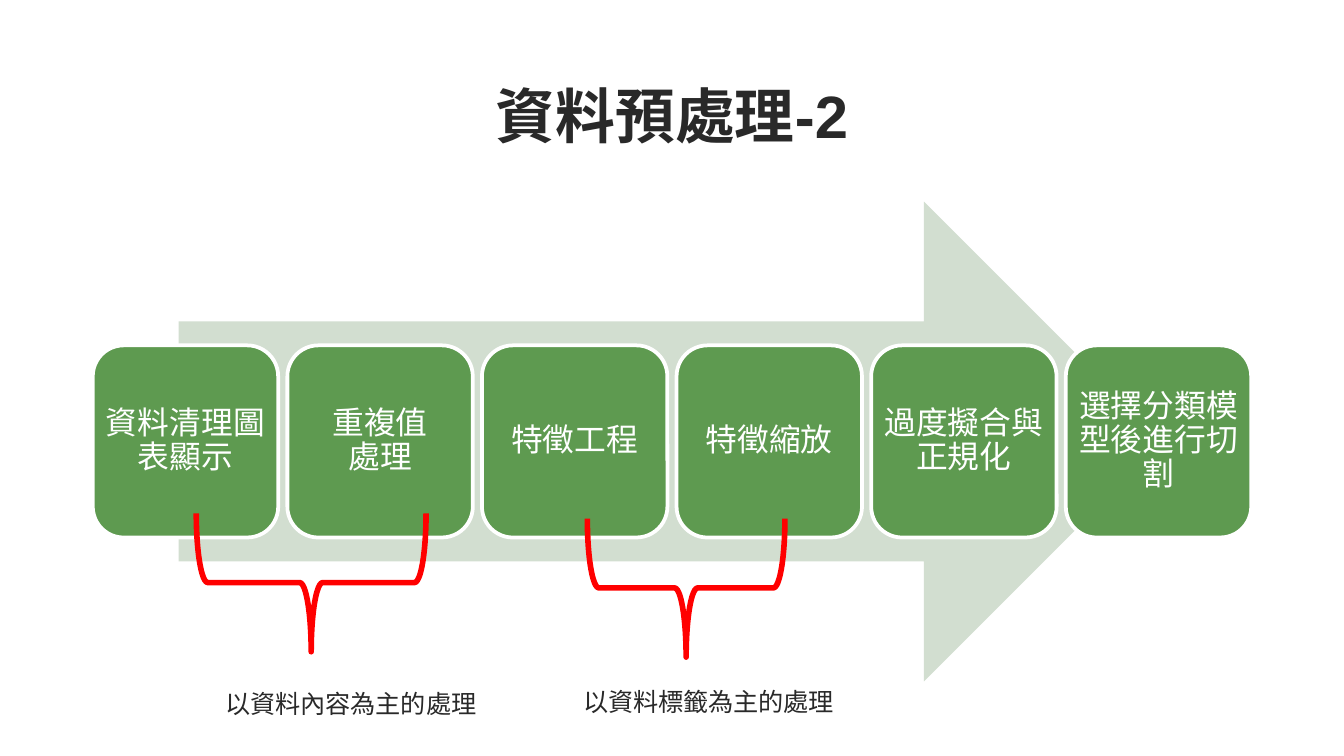
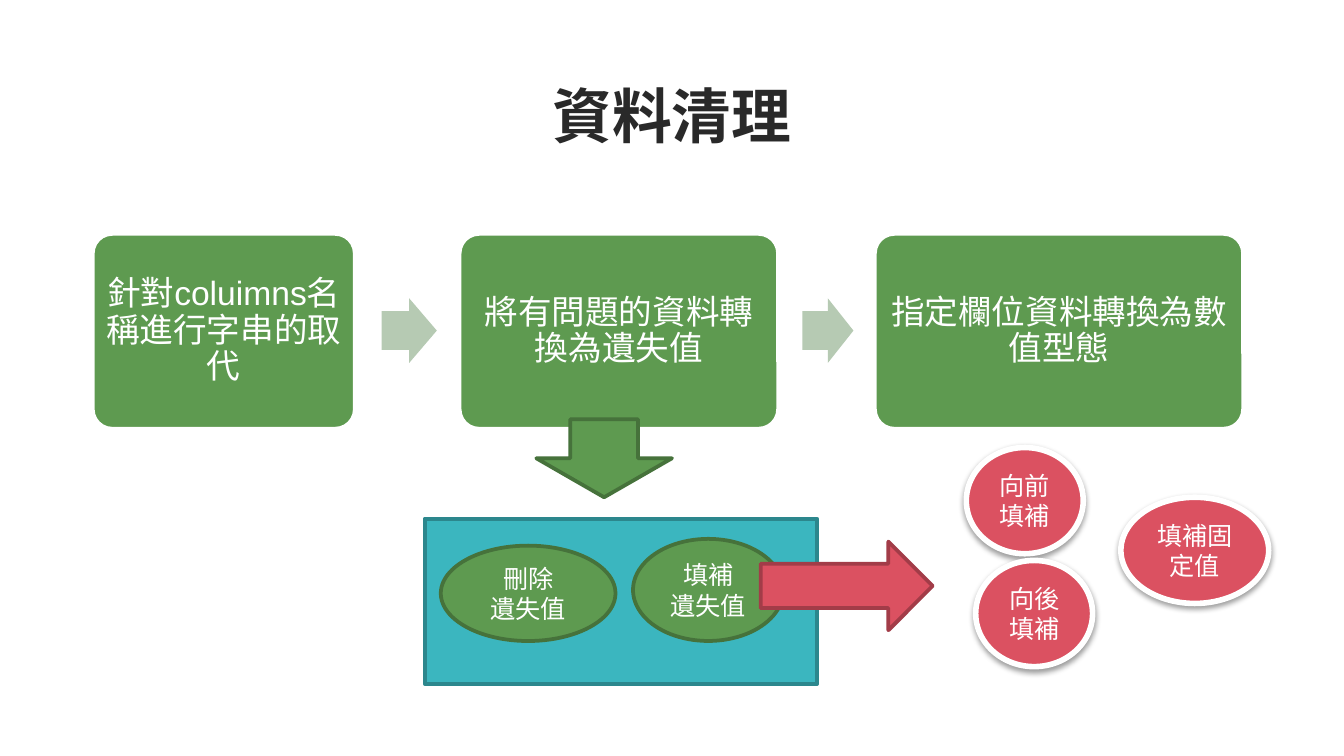
from pptx import Presentation
from pptx.dml.color import RGBColor
from pptx.enum.shapes import MSO_SHAPE
from pptx.enum.text import MSO_ANCHOR, MSO_AUTO_SIZE, PP_ALIGN
from pptx.oxml import parse_xml
from pptx.util import Inches, Pt

ROUND, OVAL, RECT = MSO_SHAPE.ROUNDED_RECTANGLE, MSO_SHAPE.OVAL, MSO_SHAPE.RECTANGLE
RIGHT, DOWN, BRACE = MSO_SHAPE.RIGHT_ARROW, MSO_SHAPE.DOWN_ARROW, MSO_SHAPE.RIGHT_BRACE
LEFT, MID = PP_ALIGN.LEFT, PP_ALIGN.CENTER
TOP, CENTER = MSO_ANCHOR.TOP, MSO_ANCHOR.MIDDLE

# Shared look
FONT = "Arial"
WHITE, INK, RED = "FFFFFF", "292929", "FF0000"
GREEN, MOSS = "5E9A50", "46723B"
PALE, SAGE = "D2DED0", "B6CAB3"
TEAL, SEA = "3BB6BF", "2C878D"
ROSE, WINE = "DB5161", "A23C48"
SHADOW = """<a:effectLst xmlns:a="http://schemas.openxmlformats.org/drawingml/2006/main">
<a:outerShdw blurRad="39370" dist="20320" dir="5400000" rotWithShape="0">
<a:srgbClr val="000000"><a:alpha val="38000"/></a:srgbClr>
</a:outerShdw></a:effectLst>"""


def write(shape, text, size=13.5, color=WHITE, bold=False, align=MID,
          anchor=CENTER, inset=(0.1, 0.05), space=1.0):
    frame = shape.text_frame
    frame.word_wrap = True
    frame.auto_size = MSO_AUTO_SIZE.NONE
    frame.vertical_anchor = anchor
    frame.margin_left = frame.margin_right = Inches(inset[0])
    frame.margin_top = frame.margin_bottom = Inches(inset[1])
    para = frame.paragraphs[0]
    para.text = text.replace("\n", "\v")
    para.alignment = align
    para.line_spacing = space
    for run in para.runs:
        run.font.name = FONT
        run.font.size = Pt(size)
        run.font.bold = bold
        run.font.color.rgb = RGBColor.from_string(color)


def draw(slide, kind, box, fill=None, line=None, width=2, adj=()):
    shape = slide.shapes.add_shape(kind, *map(Inches, box))
    shape.shadow.inherit = False
    if fill:
        shape.fill.solid()
        shape.fill.fore_color.rgb = RGBColor.from_string(fill)
    else:
        shape.fill.background()
    if line:
        shape.line.color.rgb = RGBColor.from_string(line)
        shape.line.width = Pt(width)
    else:
        shape.line.fill.background()
    for i, value in enumerate(adj):
        shape.adjustments[i] = value
    return shape


# A 16:9 page, 10 inches wide
deck = Presentation()
deck.slide_width = Inches(10)
deck.slide_height = deck.slide_width * 9 // 16

# Slides and titles
slides = []
for text in ("資料預處理-2", "資料清理"):
    slide = deck.slides.add_slide(deck.slide_layouts[5])
    title = slide.shapes.title
    title.left, title.top = Inches(0.5), Inches(0.47)
    title.width, title.height = Inches(9), Inches(0.77)
    write(title, text, size=32, color=INK, bold=True, inset=(0.1, 0.04))
    slides.append(slide)
flow, clean = slides

# Slide 1: six steps on a wide arrow
draw(flow, RIGHT, (1.33, 1.5, 7.33, 3.57), PALE)
steps = ("資料清理圖表顯示", "重複值\n處理", "特徵工程", "特徵縮放",
         "過度擬合與正規化", "選擇分類模型後進行切割")
pitch = 7.24 / 5
for i, text in enumerate(steps):
    step = draw(flow, ROUND, (0.69 + pitch * i, 2.57, 1.38, 1.43), GREEN, WHITE)
    write(step, text, size=17, inset=(0, 0), space=0.9)

# Braces and their captions
groups = (
    ((1.8, 3.48, 1.03, 1.71), (1.58, 5.07, 2.2, 0.33), "以資料內容為主的處理"),
    ((4.59, 3.64, 1.03, 1.47), (4.24, 5.06, 2.13, 0.33), "以資料標籤為主的處理"),
)
for box, place, text in groups:
    draw(flow, BRACE, box, line=RED, width=3).rotation = 90
    note = flow.shapes.add_textbox(*map(Inches, place))
    write(note, text, color=INK, align=LEFT, anchor=TOP)

# Slide 2: three stages with arrows between
stages = ((0.69, 1.95, "針對coluimns名稱進行字串的取代"),
          (3.42, 2.37, "將有問題的資料轉換為遺失值"),
          (6.51, 2.74, "指定欄位資料轉換為數值型態"))
for left, width, text in stages:
    stage = draw(clean, ROUND, (left, 1.74, width, 1.45), GREEN, WHITE, adj=(0.1,))
    write(stage, text, size=18, inset=(0.04, 0.04), space=0.9)
for left, width in ((2.84, 0.41), (5.97, 0.38)):
    draw(clean, RIGHT, (left, 2.22, width, 0.48), SAGE, adj=(0.6, 0.5))

# Ways to treat missing values
draw(clean, DOWN, (3.99, 3.12, 1.01, 0.58), GREEN, MOSS)
draw(clean, RECT, (3.16, 3.86, 2.92, 1.23), TEAL, SEA)
for box, text in (((3.28, 4.06, 1.3, 0.71), "刪除\n遺失值"),
                  ((4.71, 4.01, 1.12, 0.76), "填補\n遺失值")):
    write(draw(clean, OVAL, box, GREEN, MOSS), text)
draw(clean, RIGHT, (5.66, 4.03, 1.28, 0.66), ROSE, WINE)

# Ways to fill, with a soft shadow
fills = ((7.19, 3.33, 0.87, "向前填補"),
         (7.26, 4.17, 0.87, "向後填補"),
         (8.34, 3.7, 1.1, "填補固定值"))
for left, top, width, text in fills:
    oval = draw(clean, OVAL, (left, top, width, 0.79), ROSE, WHITE, 3)
    props = oval.element.spPr
    for item in props.findall("{*}effectLst"):
        props.replace(item, parse_xml(SHADOW))
    write(oval, text)

deck.save("out.pptx")
